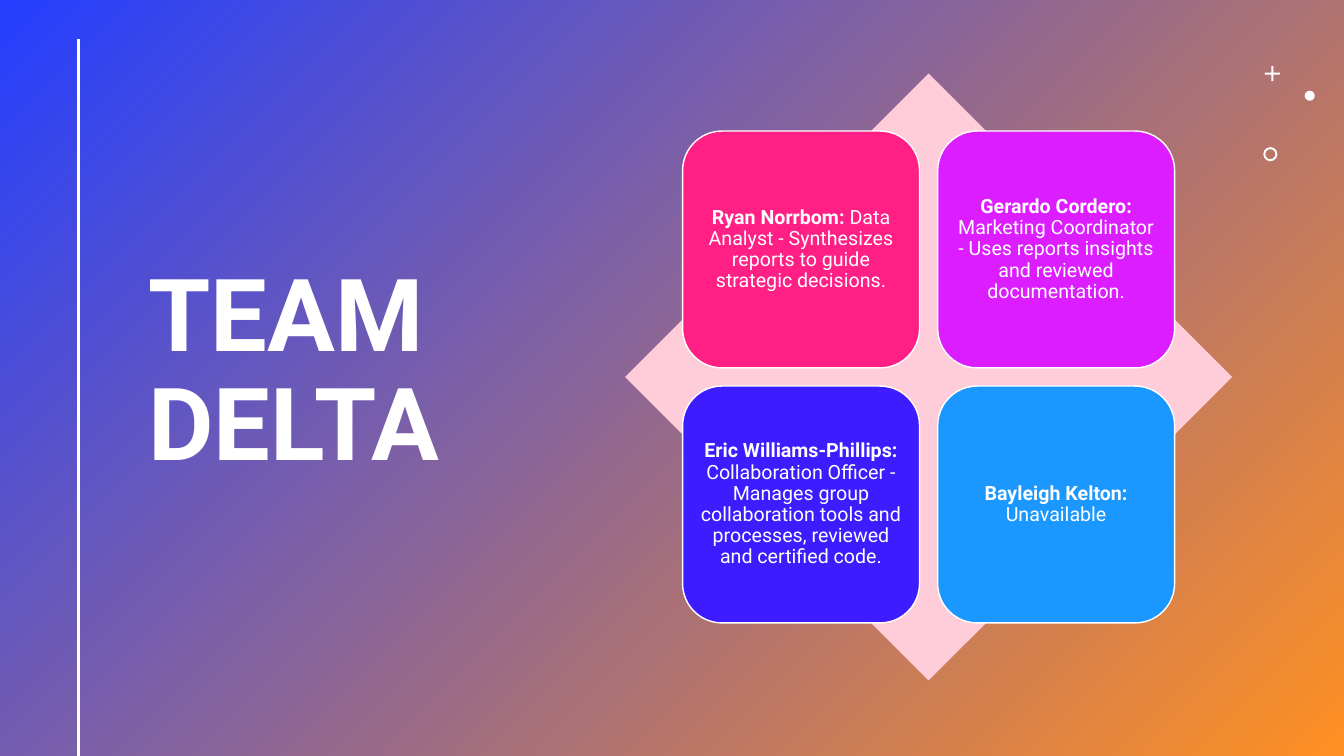
"""Build the Team Delta slide: a title beside four role cards on a diamond."""
from lxml.etree import SubElement
from pptx import Presentation
from pptx.dml.color import RGBColor
from pptx.enum.shapes import MSO_CONNECTOR, MSO_SHAPE as Preset
from pptx.enum.text import MSO_ANCHOR as Anchor, MSO_AUTO_SIZE as AutoSize, PP_ALIGN as Align
from pptx.oxml.ns import qn
from pptx.util import Inches, Pt

WHITE = RGBColor(0xFF, 0xFF, 0xFF)
BLUE = RGBColor(0x24, 0x3F, 0xFF)
ORANGE = RGBColor(0xFF, 0x90, 0x22)
BLUSH = RGBColor(0xFF, 0xCD, 0xD9)
PINK = RGBColor(0xFF, 0x1F, 0x85)
PURPLE = RGBColor(0xDC, 0x1D, 0xFF)
INDIGO = RGBColor(0x3D, 0x1C, 0xFF)
SKY = RGBColor(0x1A, 0x98, 0xFF)

TITLE = "TEAM DELTA"
MEMBERS = [
    ("Ryan Norrbom:", " Data Analyst - Synthesizes reports to guide strategic decisions.", PINK),
    ("Gerardo Cordero:", " Marketing Coordinator - Uses reports insights and reviewed documentation.", PURPLE),
    ("Eric Williams-Phillips:", " Collaboration Officer - Manages group collaboration tools and processes, "
     "reviewed and certified code.", INDIGO),
    ("Bayleigh Kelton:", " Unavailable", SKY),
]
ORNAMENTS = [
    (Preset.CROSS, 12.62, 0.73, 0.15, 0.43),
    (Preset.OVAL, 12.99, 0.95, 0.1, None),
    (Preset.DONUT, 12.6, 1.53, 0.14, 0.14),
]

WIDTH, HEIGHT = 13.33, 7.5
TITLE_BOX = (1.37, 0.65, 4.31, 6.11)
RULE_X, RULE_TOP = 0.78, 0.39
CENTER_X, CENTER_Y = 9.21, 3.74
DIAMOND, CARD, PITCH = 6.02, 2.35, 2.53
COLUMNS = 2
FONT = {"name": "Roboto", "color": WHITE}
FRAME = {"word_wrap": True, "auto_size": AutoSize.NONE, "vertical_anchor": Anchor.MIDDLE}
CARD_MARGINS = {f"margin_{side}": Inches(0.06) for side in ("left", "top", "right", "bottom")}


def set_attributes(target, values):
    for name, value in values.items():
        setattr(target, name, value)


def add_shape(slide, preset, center_x, center_y, width, height, color=None):
    shape = slide.shapes.add_shape(preset, Inches(center_x - width / 2), Inches(center_y - height / 2),
                                   Inches(width), Inches(height))
    shape.shadow.inherit = False
    shape.line.fill.background()
    if color is not None:
        shape.fill.solid()
        shape.fill.fore_color.rgb = color
    return shape


def write(shape, runs, size, alignment, frame_values):
    frame = shape.text_frame
    set_attributes(frame, frame_values)
    paragraph = frame.paragraphs[0]
    set_attributes(paragraph, {"alignment": alignment, "line_spacing": 0.9})
    for text, bold in runs:
        run = paragraph.add_run()
        run.text = text
        set_attributes(run.font, {"name": FONT["name"], "size": Pt(size), "bold": bold})
        run.font.color.rgb = FONT["color"]


def add_backdrop(slide):
    backdrop = add_shape(slide, Preset.RECTANGLE, WIDTH / 2, HEIGHT / 2, WIDTH, HEIGHT)
    backdrop.fill.gradient()
    backdrop.fill.gradient_angle = 315
    for stop, color in zip(backdrop.fill.gradient_stops, (BLUE, ORANGE)):
        stop.color.rgb = color
    slide.shapes.title.element.addprevious(backdrop.element)


def add_title(slide):
    title = slide.shapes.title
    set_attributes(title, dict(zip(("left", "top", "width", "height"), map(Inches, TITLE_BOX))))
    write(title, [(TITLE, True)], 72, Align.LEFT, FRAME)


def add_rule(slide):
    rule = slide.shapes.add_connector(MSO_CONNECTOR.STRAIGHT, Inches(RULE_X), Inches(RULE_TOP),
                                      Inches(RULE_X), Inches(HEIGHT))
    rule.line.color.rgb = WHITE
    rule.line.width = Pt(2)
    SubElement(rule.element.spPr, qn("a:effectLst"))


def add_cards(slide):
    add_shape(slide, Preset.DIAMOND, CENTER_X, CENTER_Y, DIAMOND, DIAMOND, BLUSH)
    for index, (name, role, color) in enumerate(MEMBERS):
        row, column = divmod(index, COLUMNS)
        card = add_shape(slide, Preset.ROUNDED_RECTANGLE, CENTER_X + (column - 0.5) * PITCH,
                         CENTER_Y + (row - 0.5) * PITCH, CARD, CARD, color)
        card.line.color.rgb = WHITE
        card.line.width = Pt(1)
        write(card, [(name, True), (role, False)], 14, Align.CENTER, {**FRAME, **CARD_MARGINS})


def add_ornaments(slide):
    for preset, center_x, center_y, size, adjustment in ORNAMENTS:
        ornament = add_shape(slide, preset, center_x, center_y, size, size, WHITE)
        if adjustment is not None:
            ornament.adjustments[0] = adjustment


def main():
    presentation = Presentation()
    set_attributes(presentation, {"slide_width": Inches(WIDTH), "slide_height": Inches(HEIGHT)})
    slide = presentation.slides.add_slide(presentation.slide_layouts.get_by_name("Title Only"))
    for build in (add_backdrop, add_title, add_rule, add_ornaments, add_cards):
        build(slide)
    presentation.save("out.pptx")


if __name__ == "__main__":
    main()
